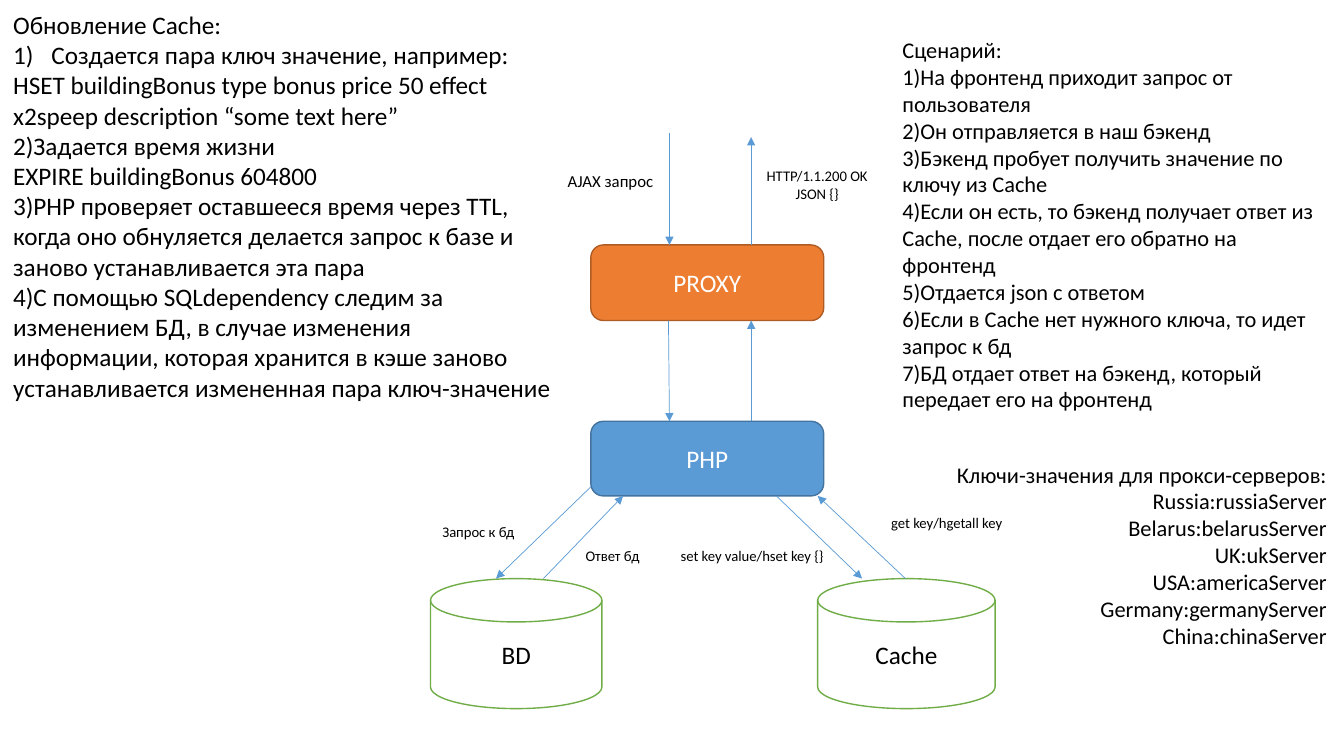
"""Build a slide showing how requests pass through proxy, backend, database and cache."""
from dataclasses import dataclass
from typing import Optional

from pptx import Presentation
from pptx.dml.color import RGBColor
from pptx.enum.shapes import MSO_CONNECTOR as Link, MSO_SHAPE as Shape
from pptx.enum.text import MSO_ANCHOR as Anchor, MSO_AUTO_SIZE as AutoSize, PP_ALIGN as Align
from pptx.oxml.ns import qn
from pptx.slide import Slide
from pptx.text.text import TextFrame
from pptx.util import Inches, Pt
from lxml.etree import SubElement


@dataclass(frozen=True)
class Theme:
    font: str = "Calibri"
    black: str = "000000"
    white: str = "FFFFFF"
    blue: str = "5B9BD5"
    blue_edge: str = "43739E"
    orange: str = "ED7D31"
    orange_edge: str = "AF5C24"
    green: str = "70AD47"
    large: float = 18
    medium: float = 16
    small: float = 12
    tiny: float = 10.5
    edge_width: float = 1
    arrow_width: float = 0.5


THEME = Theme()


@dataclass(frozen=True)
class Area:
    left: float
    top: float
    width: float
    height: float

    def lengths(self) -> tuple:
        return tuple(Inches(n) for n in (self.left, self.top, self.width, self.height))


@dataclass(frozen=True)
class Node:
    name: str
    kind: Shape
    area: Area
    fill: str
    edge: str
    ink: str


@dataclass(frozen=True)
class Arrow:
    start: tuple[float, float]
    end: tuple[float, float]


@dataclass(frozen=True)
class Label:
    lines: tuple[str, ...]
    area: Area
    size: float = THEME.tiny


@dataclass(frozen=True)
class Panel:
    holder: int
    area: Area
    size: float
    lines: tuple[str, ...]
    align: Align = Align.LEFT
    wrap: bool = True
    numbered: Optional[int] = None


CACHE_TOP, PHP_TOP, PHP_BOTTOM, PROXY_TOP, PROXY_BOTTOM = 5.74, 4.18, 4.92, 2.43, 3.18
DOWN_X, UP_X = 6.64, 7.45

NODES = (
    Node("Cache", Shape.FLOWCHART_MAGNETIC_DISK, Area(8.11, CACHE_TOP, 1.76, 1.29),
         THEME.white, THEME.green, THEME.black),
    Node("BD", Shape.FLOWCHART_MAGNETIC_DISK, Area(4.27, CACHE_TOP, 1.7, 1.29),
         THEME.white, THEME.green, THEME.black),
    Node("PHP", Shape.ROUNDED_RECTANGLE, Area(5.86, PHP_TOP, 2.31, 0.74),
         THEME.blue, THEME.blue_edge, THEME.white),
    Node("PROXY", Shape.ROUNDED_RECTANGLE, Area(5.86, PROXY_TOP, 2.31, 0.75),
         THEME.orange, THEME.orange_edge, THEME.white),
)

ARROWS = (
    Arrow((6.63, PROXY_BOTTOM), (DOWN_X, PHP_TOP)),
    Arrow((UP_X, PHP_TOP), (UP_X, PROXY_BOTTOM)),
    Arrow((UP_X, PROXY_TOP), (UP_X, 1.36)),
    Arrow((DOWN_X, 1.32), (DOWN_X, PROXY_TOP)),
    Arrow((8.98, CACHE_TOP), (8.11, PHP_BOTTOM)),
    Arrow((7.7, PHP_BOTTOM), (8.55, CACHE_TOP)),
    Arrow((5.86, 4.83), (4.92, CACHE_TOP)),
    Arrow((5.39, CACHE_TOP), (6.18, PHP_BOTTOM)),
)

LABELS = (
    Label(("AJAX запрос",), Area(5.5, 1.64, 1.11, 0.3), THEME.small),
    Label(("HTTP/1.1.200 OK", "JSON {}"), Area(7.49, 1.61, 1.23, 0.45)),
    Label(("get key/hgetall key",), Area(8.72, 5.05, 1.34, 0.28)),
    Label(("set key value/hset key {}",), Area(6.63, 5.38, 1.66, 0.28)),
    Label(("Запрос к бд",), Area(4.28, 5.14, 0.93, 0.28)),
    Label(("Ответ бд",), Area(5.7, 5.38, 0.75, 0.28)),
)

PANELS = (
    Panel(1, Area(8.85, 0.31, 4.3, 3.87), THEME.medium, (
        "Сценарий:",
        "1)На фронтенд приходит запрос от пользователя",
        "2)Он отправляется в наш бэкенд",
        "3)Бэкенд пробует получить значение по ключу из Cache",
        "4)Если он есть, то бэкенд получает ответ из Cache, после отдает его обратно на фронтенд",
        "5)Отдается json с ответом",
        "6)Если в Cache нет нужного ключа, то идет запрос к бд",
        "7)БД отдает ответ на бэкенд, который передает его на фронтенд",
    )),
    Panel(2, Area(0.03, 0.04, 5.6, 4.64), THEME.large, (
        "Обновление Cache:",
        "Создается пара ключ значение, например:",
        "HSET buildingBonus type bonus price 50 effect x2speep description “some text here”",
        "2)Задается время жизни",
        "EXPIRE buildingBonus 604800",
        "3)PHP проверяет оставшееся время через TTL, когда оно обнуляется делается запрос к базе "
        "и заново устанавливается эта пара",
        "4)С помощью SQLdependency следим за изменением БД, в случае изменения информации, "
        "которая хранится в кэше заново устанавливается измененная пара ключ-значение",
    ), numbered=1),
    Panel(4, Area(9.35, 4.52, 3.91, 1.99), THEME.medium, (
        "Ключи-значения для прокси-серверов:",
        "Russia:russiaServer",
        "Belarus:belarusServer",
        "UK:ukServer",
        "USA:americaServer",
        "Germany:germanyServer",
        "China:chinaServer",
    ), Align.RIGHT, wrap=False),
)


def write(frame: TextFrame, lines: tuple[str, ...], size: float, ink: str, align: Align) -> None:
    for index, line in enumerate(lines):
        para = frame.paragraphs[0] if index == 0 else frame.add_paragraph()
        para.alignment = align
        para.space_before = Pt(0)
        span = para.add_run()
        span.text = line
        span.font.name = THEME.font
        span.font.size = Pt(size)
        span.font.bold = False
        span.font.color.rgb = RGBColor.from_string(ink)


def draw_node(page: Slide, node: Node) -> None:
    box = page.shapes.add_shape(node.kind, *node.area.lengths())
    box.shadow.inherit = False
    box.fill.solid()
    box.fill.fore_color.rgb = RGBColor.from_string(node.fill)
    box.line.color.rgb = RGBColor.from_string(node.edge)
    box.line.width = Pt(THEME.edge_width)
    box.text_frame.vertical_anchor = Anchor.MIDDLE
    write(box.text_frame, (node.name,), THEME.large, node.ink, Align.CENTER)


def draw_arrow(page: Slide, arrow: Arrow) -> None:
    ends = (Inches(n) for n in arrow.start + arrow.end)
    line = page.shapes.add_connector(Link.STRAIGHT, *ends)
    line.line.color.rgb = RGBColor.from_string(THEME.blue)
    line.line.width = Pt(THEME.arrow_width)
    SubElement(line.line._get_or_add_ln(), qn("a:tailEnd"), type="triangle")
    SubElement(line._element.spPr, qn("a:effectLst"))


def draw_label(page: Slide, label: Label) -> None:
    box = page.shapes.add_textbox(*label.area.lengths())
    box.text_frame.word_wrap = False
    write(box.text_frame, label.lines, label.size, THEME.black, Align.CENTER)


def fill_panel(page: Slide, panel: Panel) -> None:
    box = page.placeholders[panel.holder]
    box.left, box.top, box.width, box.height = panel.area.lengths()
    frame = box.text_frame
    frame.word_wrap = panel.wrap
    frame.auto_size = AutoSize.NONE
    frame.vertical_anchor = Anchor.TOP
    write(frame, panel.lines, panel.size, THEME.black, panel.align)
    for index, para in enumerate(frame.paragraphs):
        numbered = index == panel.numbered
        indent = Inches(0.38) if numbered else 0
        props = para._p.get_or_add_pPr()
        props.set("marL", str(indent))
        props.set("indent", str(-indent))
        if numbered:
            SubElement(props, qn("a:buFont"), typeface=THEME.font)
            SubElement(props, qn("a:buAutoNum"), type="arabicParenR")
        else:
            SubElement(props, qn("a:buNone"))


def main() -> None:
    deck = Presentation()
    deck.slide_width, deck.slide_height = Inches(13.33), Inches(7.5)
    page = deck.slides.add_slide(deck.slide_layouts.get_by_name("Comparison"))
    for draw, items in ((draw_node, NODES), (draw_arrow, ARROWS),
                        (draw_label, LABELS), (fill_panel, PANELS)):
        for item in items:
            draw(page, item)
    used = {panel.holder for panel in PANELS}
    for holder in list(page.placeholders):
        if holder.placeholder_format.idx not in used:
            holder._element.getparent().remove(holder._element)
    deck.save("out.pptx")


if __name__ == "__main__":
    main()
